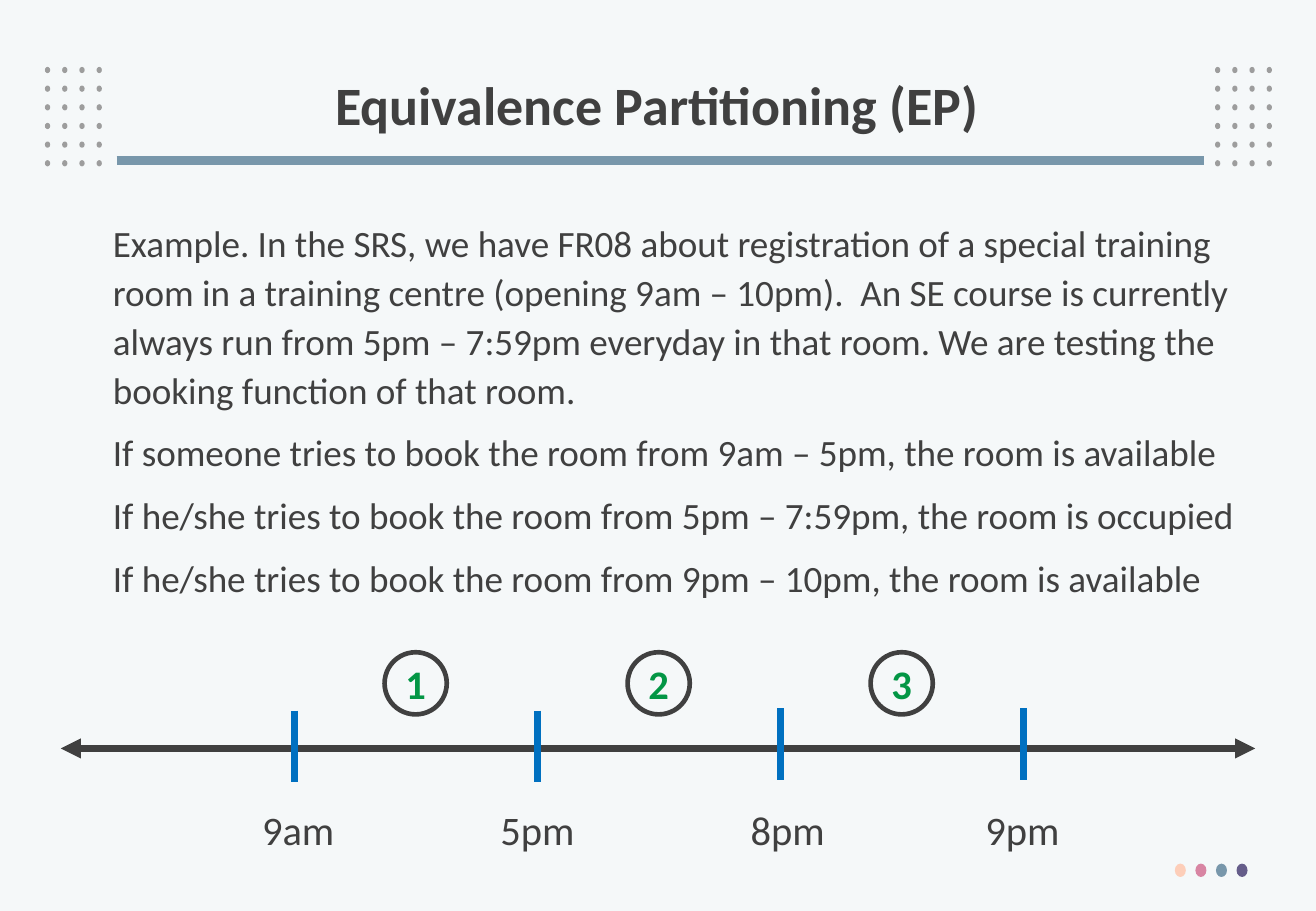
from lxml.etree import SubElement
from pptx import Presentation
from pptx.dml.color import RGBColor
from pptx.enum.shapes import MSO_CONNECTOR, MSO_SHAPE
from pptx.enum.text import MSO_ANCHOR, PP_ALIGN
from pptx.oxml.ns import qn
from pptx.util import Cm, Pt

FONT = "Calibri"
INK = "404040"
STATEMENTS = [
    "Example. In the SRS, we have FR08 about registration of a special training "
    "room in a training centre (opening 9am – 10pm).  An SE course is currently "
    "always run from 5pm – 7:59pm everyday in that room. We are testing the "
    "booking function of that room.",
    "If someone tries to book the room from 9am – 5pm, the room is available",
    "If he/she tries to book the room from 5pm – 7:59pm, the room is occupied",
    "If he/she tries to book the room from 9pm – 10pm, the room is available",
]
TIMES = [("9am", 0.92, 0.79), ("5pm", 1.02, 0.79), ("8pm", 0.87, 0.84), ("9pm", 1.04, 0.84)]


def color(value):
    return RGBColor.from_string(value)


def style_text(paragraph, size, value=INK, bold=False):
    for run in paragraph.runs:
        run.font.name = FONT
        run.font.size = Pt(size)
        run.font.bold = bold
        run.font.color.rgb = color(value)


def add_text(slide, left, top, width, height, lines, size, bold=False, wrap=True):
    shape = slide.shapes.add_textbox(Cm(left), Cm(top), Cm(width), Cm(height))
    text_frame = shape.text_frame
    text_frame.word_wrap = wrap
    text_frame.text = "\n".join(lines)
    for paragraph in text_frame.paragraphs:
        style_text(paragraph, size, bold=bold)
    return text_frame


def add_ellipse(slide, left, top, width, height, fill=None):
    shape = slide.shapes.add_shape(MSO_SHAPE.OVAL, Cm(left), Cm(top), Cm(width), Cm(height))
    shape.shadow.inherit = False
    if fill:
        shape.fill.solid()
        shape.fill.fore_color.rgb = color(fill)
        shape.line.fill.background()
    else:
        shape.fill.background()
    return shape


def add_line(slide, x1, y1, x2, y2, value, width, arrows=False):
    connector = slide.shapes.add_connector(
        MSO_CONNECTOR.STRAIGHT, Cm(x1), Cm(y1), Cm(x2), Cm(y2))
    connector.line.color.rgb = color(value)
    connector.line.width = Pt(width)
    if arrows:
        for end in ("a:headEnd", "a:tailEnd"):
            SubElement(connector.line._get_or_add_ln(), qn(end), type="triangle")
    SubElement(connector._element.spPr, qn("a:effectLst"))


def add_dot_grid(slide, left, top, columns=4, rows=6):
    for row in range(rows):
        for column in range(columns):
            add_ellipse(slide, left + column * 0.36, top + row * 0.39, 0.11, 0.13, "9D9D9D")


def add_header(slide, left, top, width, height):
    add_dot_grid(slide, left, top + 0.38)
    add_dot_grid(slide, left + width - 1.19, top + 0.38)
    add_line(slide, left + 1.5, top + 2.33, left + width - 1.42, top + 2.33, "7897AB", 5.25)
    text_frame = add_text(slide, left + 0.94, top, 23.72, height,
                          ["Equivalence Partitioning (EP)"], 32, bold=True)
    text_frame.vertical_anchor = MSO_ANCHOR.MIDDLE
    text_frame.paragraphs[0].alignment = PP_ALIGN.CENTER
    text_frame.paragraphs[0].line_spacing = 0.9


def add_statements(slide, left, top, width, height):
    text_frame = add_text(slide, left, top, width, height, STATEMENTS, 22)
    for index, paragraph in enumerate(text_frame.paragraphs):
        paragraph.line_spacing = 1.1
        paragraph.space_before = Pt(8.1 if index else 0)


def add_partition(slide, center, top, number, size=1.3):
    shape = add_ellipse(slide, center - size / 2, top, size, size)
    shape.line.color.rgb = color(INK)
    shape.line.width = Pt(2.75)
    text_frame = shape.text_frame
    text_frame.margin_left = text_frame.margin_right = 0
    text_frame.margin_top = text_frame.margin_bottom = 0
    text_frame.vertical_anchor = MSO_ANCHOR.MIDDLE
    text_frame.text = str(number)
    text_frame.paragraphs[0].alignment = PP_ALIGN.CENTER
    style_text(text_frame.paragraphs[0], 24, "039645", True)


def add_timeline(slide, left, top, width, height):
    step = 5.08
    axis = top + 2.01
    add_line(slide, left, axis, left + width, axis, INK, 4, arrows=True)
    for index, (time, label_shift, rise) in enumerate(TIMES):
        x = left + 4.88 + index * step
        add_line(slide, x, axis - rise, x, axis - rise + 1.5, "0070C0", 4)
        add_text(slide, x - label_shift, top + height - 1.27, 2.08, 1.27,
                 [time], 24, wrap=False)
        if index:
            add_partition(slide, x - step / 2, top, index)


def add_footer_dots(slide, left, top):
    for index, fill in enumerate(["FDCEB9", "D885A3", "7897AB", "655D8A"]):
        add_ellipse(slide, left + index * 0.43, top, 0.23, 0.28, fill)


def main():
    presentation = Presentation()
    presentation.slide_width = Cm(27.51)
    presentation.slide_height = Cm(19.05)
    slide = presentation.slides.add_slide(presentation.slide_layouts[6])
    slide.background.fill.solid()
    slide.background.fill.fore_color.rgb = color("F5F8F9")
    add_header(slide, 0.94, 1.02, 25.65, 2.49)
    add_footer_dots(slide, 24.56, 18.06)
    add_statements(slide, 2.11, 4.39, 24.56, 8.6)
    add_timeline(slide, 1.27, 13.64, 24.97, 4.34)
    presentation.save("out.pptx")


if __name__ == "__main__":
    main()
